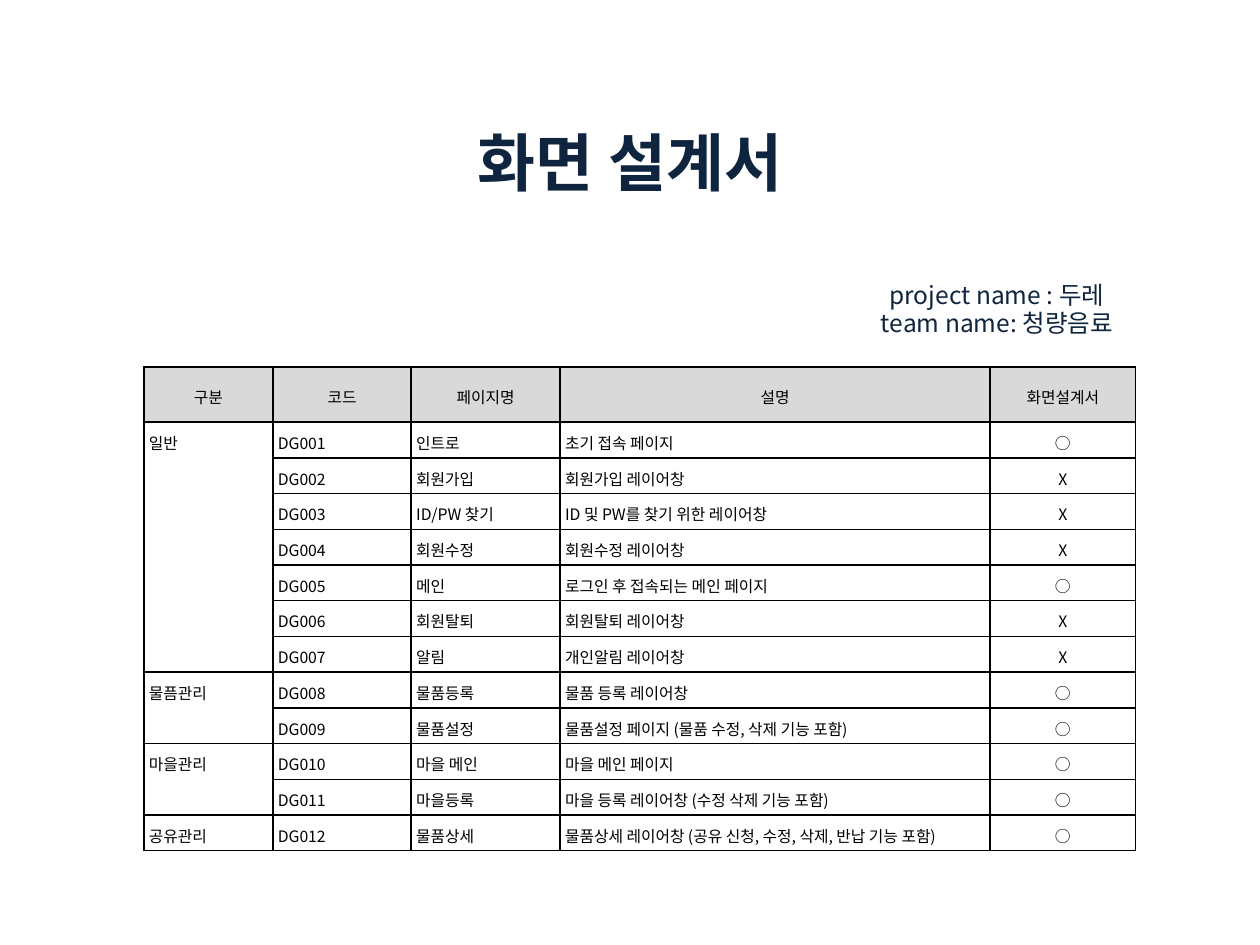
from pptx import Presentation
from pptx import util as u
from pptx.dml.color import RGBColor
from pptx.enum import text
from pptx.oxml.ns import qn
from lxml import etree

# Content
TITLE = "화면 설계서"
INFO = ["project name : 두레", "team name: 청량음료"]
HEAD = ["구분", "코드", "페이지명", "설명", "화면설계서"]
GROUPS = [
    ("일반", [
        ("인트로", "초기 접속 페이지", "○"),
        ("회원가입", "회원가입 레이어창", "X"),
        ("ID/PW 찾기", "ID 및 PW를 찾기 위한 레이어창", "X"),
        ("회원수정", "회원수정 레이어창", "X"),
        ("메인", "로그인 후 접속되는 메인 페이지", "○"),
        ("회원탈퇴", "회원탈퇴 레이어창", "X"),
        ("알림", "개인알림 레이어창", "X")]),
    ("물픔관리", [
        ("물품등록", "물품 등록 레이어창", "○"),
        ("물품설정", "물품설정 페이지 (물품 수정, 삭제 기능 포함)", "○")]),
    ("마을관리", [
        ("마을 메인", "마을 메인 페이지", "○"),
        ("마을등록", "마을 등록 레이어창 (수정 삭제 기능 포함)", "○")]),
    ("공유관리", [
        ("물품상세", "물품상세 레이어창 (공유 신청, 수정, 삭제, 반납 기능 포함)", "○")]),
]

# Format
FONT = "Noto Sans CJK KR"
HEX = {"navy": "0F243E", "black": "000000", "gray": "D9D9D9", "white": "FFFFFF"}
COLS = [2.6, 2.79, 3, 8.67, 2.93]
HEAD_H, ROW_H = 1.11, 0.72
INSET = {"margin_left": 0.1, "margin_right": 0.1, "margin_top": 0.1, "margin_bottom": 0}
LEFT, MID = text.PP_ALIGN.LEFT, text.PP_ALIGN.CENTER


def color(name):
    return RGBColor.from_string(HEX[name])


def write(para, words, size, tint, align, **form):
    for key, val in {"alignment": align, **form}.items():
        setattr(para, key, val)
    run = para.add_run()
    run.text = words
    for key, val in {"name": FONT, "size": u.Pt(size), **({"bold": True} if size > 30 else {})}.items():
        setattr(run.font, key, val)
    run.font.color.rgb = color(tint)


def add_text(slide, box, lines, size):
    frame = slide.shapes.add_textbox(*map(u.Cm, box)).text_frame
    frame.word_wrap = True
    for i, line in enumerate(lines):
        para = frame.paragraphs[0] if i == 0 else frame.add_paragraph()
        write(para, line, size, "navy", MID, line_spacing=0.9, space_before=u.Pt(i))


def set_edges(cell, shown):
    props = cell._tc.get_or_add_tcPr()
    for side in "LRTB":
        edge = etree.SubElement(props, qn("a:ln" + side), w=str(u.Pt(1)))
        if side in shown:
            fill = etree.SubElement(edge, qn("a:solidFill"))
            etree.SubElement(fill, qn("a:srgbClr"), val=HEX["black"])
        else:
            etree.SubElement(edge, qn("a:noFill"))


def fill_cell(cell, words, align, back, edges):
    for key, val in INSET.items():
        setattr(cell, key, u.Cm(val))
    cell.vertical_anchor = text.MSO_ANCHOR.MIDDLE
    set_edges(cell, edges)
    cell.fill.solid()
    cell.fill.fore_color.rgb = color(back)
    para = cell.text_frame.paragraphs[0]
    if words:
        write(para, words, 9, "black", align)
    else:
        etree.SubElement(para._p, qn("a:endParaRPr"), sz="900")


# Rows with the edges of their group cell
rows = []
for group, pages in GROUPS:
    for i, page in enumerate(pages):
        first, last = i == 0, i == len(pages) - 1
        edges = "LR" + "T" * first + "B" * last
        rows.append((edges, [group if first else "", f"DG{len(rows) + 1:03}", *page]))

# Slide
deck = Presentation()
deck.slide_width, deck.slide_height = u.Cm(25.4), u.Cm(19.05)
slide = deck.slides.add_slide(deck.slide_layouts[6])

# Table
high = HEAD_H + ROW_H * len(rows)
box = map(u.Cm, (2.9, 7.4, sum(COLS), high))
table = slide.shapes.add_table(len(rows) + 1, len(COLS), *box).table
table.first_row = table.horz_banding = False
for col, wide in zip(table.columns, COLS):
    col.width = u.Cm(wide)
for r, (edges, words) in enumerate([("LRTB", HEAD)] + rows):
    table.rows[r].height = u.Cm(ROW_H if r else HEAD_H)
    for c, word in enumerate(words):
        align = LEFT if r and c < len(COLS) - 1 else MID
        fill_cell(table.cell(r, c), word, align, "white" if r else "gray",
                  "LRTB" if c else edges)

# Title and project details
add_text(slide, (1.27, 2.54, 22.86, 3.18), [TITLE], 36)
add_text(slide, (16.1, 5.59, 8, 1.52), INFO, 14)

deck.save("out.pptx")
